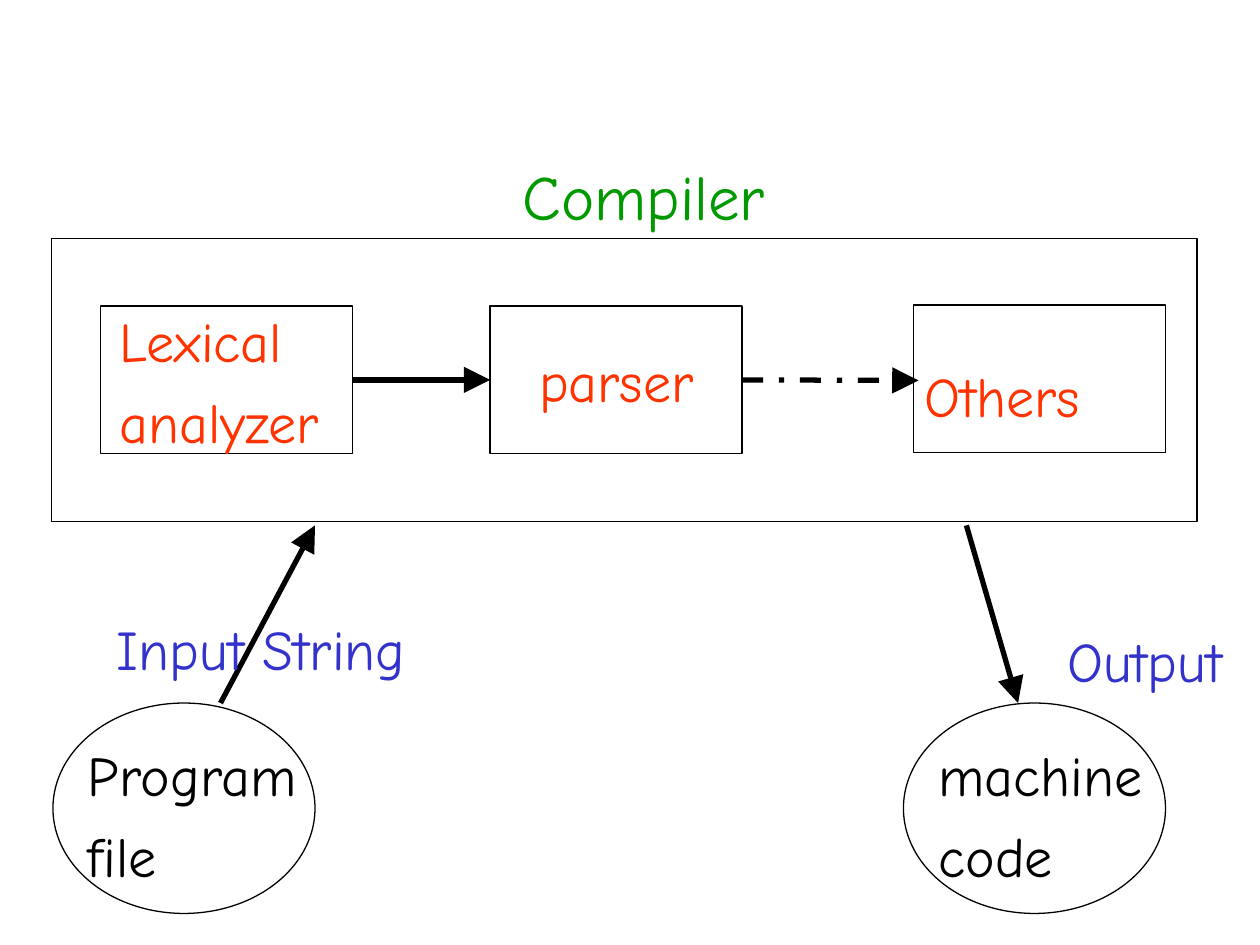
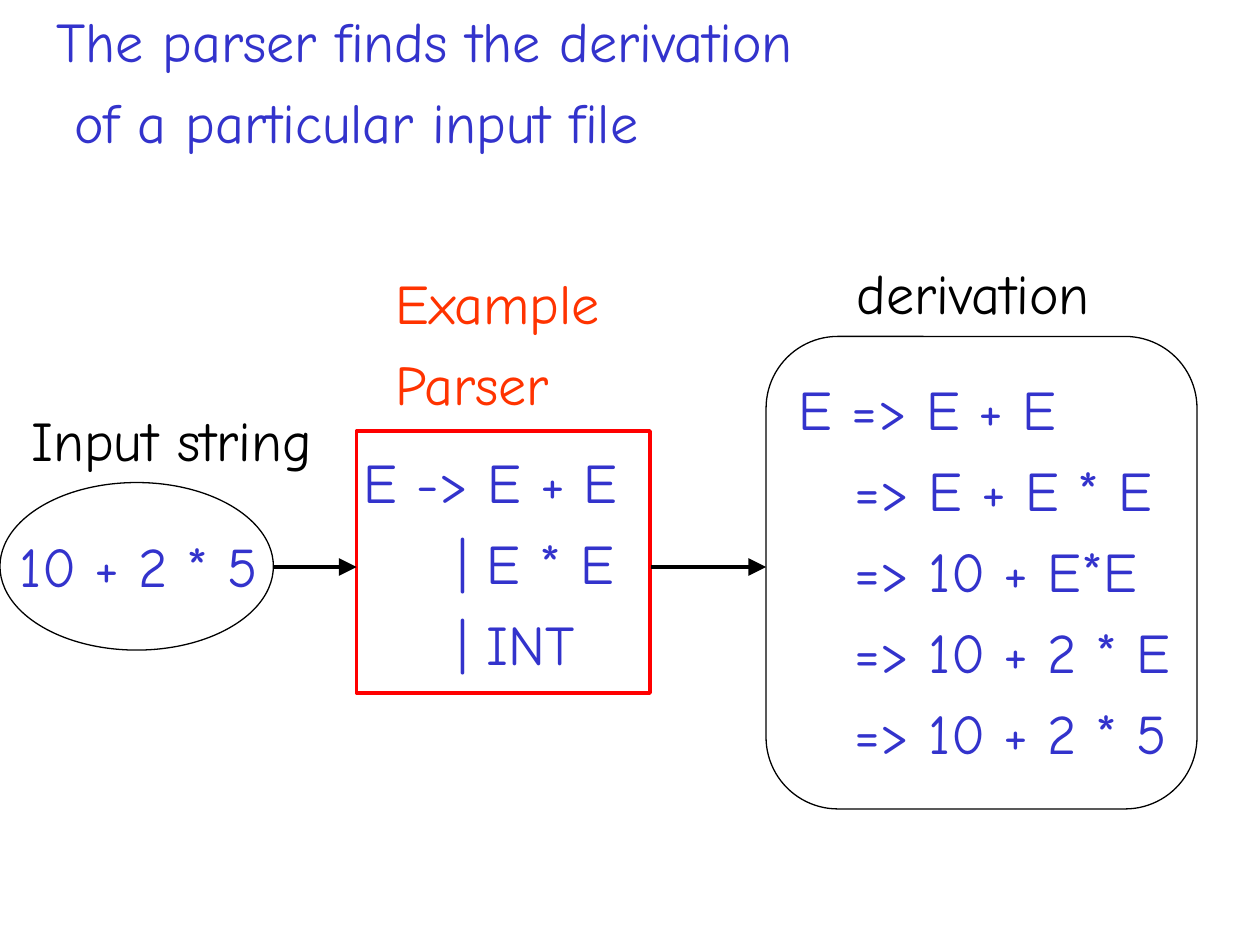
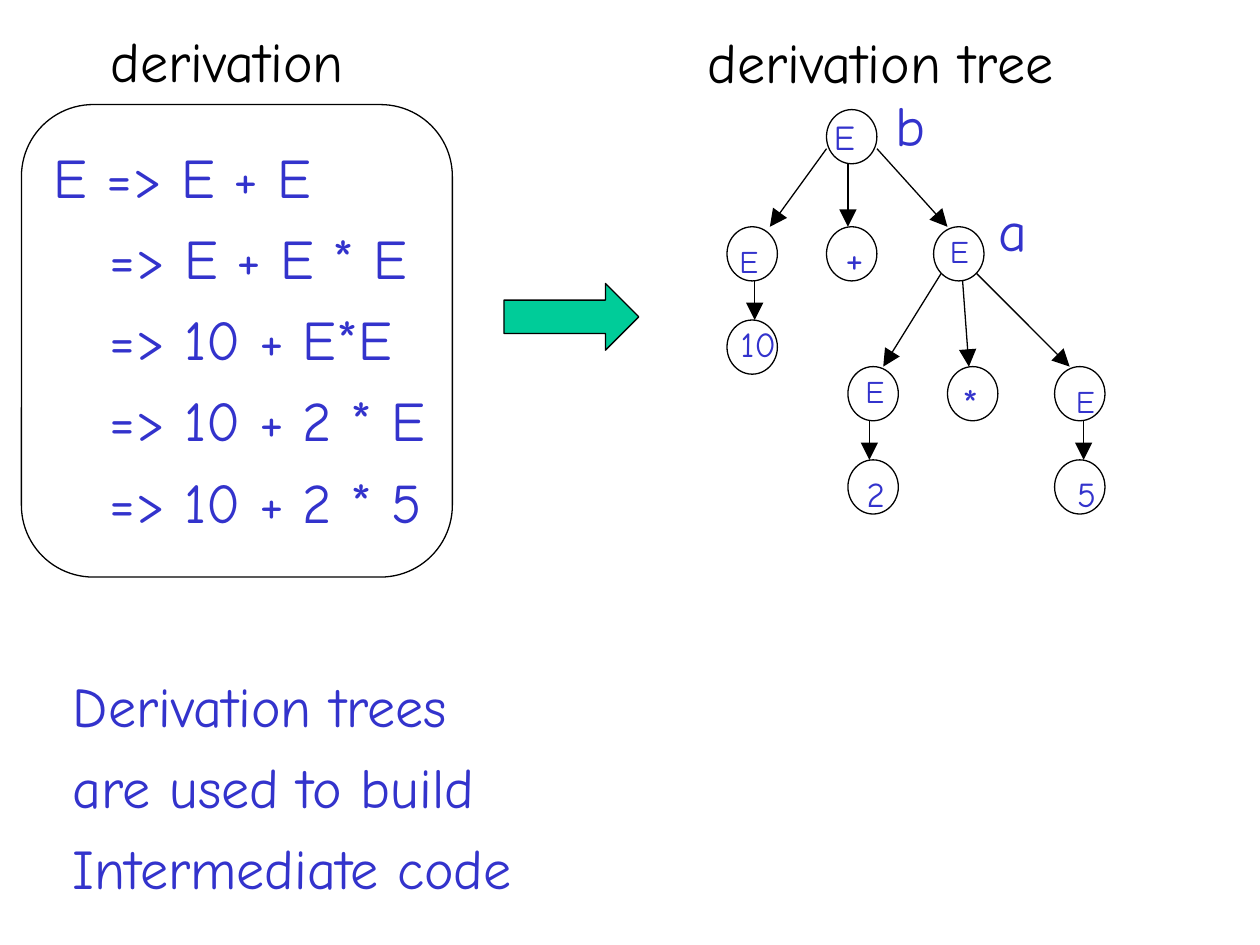
from lxml import etree
from pptx import Presentation
from pptx.dml.color import RGBColor
from pptx.enum.dml import MSO_LINE
from pptx.enum.shapes import MSO_CONNECTOR, MSO_SHAPE
from pptx.enum.text import MSO_AUTO_SIZE, PP_ALIGN
from pptx.oxml.ns import qn
from pptx.util import Inches, Pt

RECT = MSO_SHAPE.RECTANGLE
ROUNDED = MSO_SHAPE.ROUNDED_RECTANGLE
OVAL = MSO_SHAPE.OVAL
RIGHT_ARROW = MSO_SHAPE.RIGHT_ARROW
STRAIGHT = MSO_CONNECTOR.STRAIGHT
DASH_DOT = MSO_LINE.DASH_DOT
FIT_TEXT = MSO_AUTO_SIZE.SHAPE_TO_FIT_TEXT
LEFT = PP_ALIGN.LEFT

BLACK = RGBColor(0x00, 0x00, 0x00)
BLUE = RGBColor(0x33, 0x33, 0xCC)
ORANGE = RGBColor(0xFF, 0x33, 0x00)
GREEN = RGBColor(0x00, 0x99, 0x00)
RED = RGBColor(0xFF, 0x00, 0x00)
TEAL = RGBColor(0x00, 0xCC, 0x99)

FONT = "Comic Neue"
BODY_SIZE = 32
THIN = 0.75
RIGHT_SIDE, LEFT_SIDE = 3, 1
NODE_SIZE = (0.4, 0.43)
STEP_INDENT = 0.44
RULE_INDENT = 0.74
TITLE_INDENT = 0.14

DERIVATION = ["E => E + E", "=> E + E * E", "=> 10 + E*E",
              "=> 10 + 2 * E", "=> 10 + 2 * 5"]


class Deck:
    def __init__(self):
        self.presentation = Presentation()
        self.presentation.slide_width = Inches(10)
        self.presentation.slide_height = Inches(7.5)
        self.slide = None

    def new_slide(self):
        layout = self.presentation.slide_layouts[6]
        self.slide = self.presentation.slides.add_slide(layout)

    def label(self, left, top, width, lines, color=BLUE, size=BODY_SIZE,
              indent=0, wrap=False):
        """Write one paragraph a line; indent applies after the first line."""
        spacing = size / 4
        height = (len(lines) * (size * 1.2 + spacing) - spacing) / 72 + 0.1
        box = self.slide.shapes.add_textbox(
            Inches(left), Inches(top), Inches(width), Inches(height))
        frame = box.text_frame
        frame.word_wrap = wrap
        frame.auto_size = FIT_TEXT
        for number, line in enumerate(lines):
            paragraph = frame.add_paragraph() if number else frame.paragraphs[0]
            paragraph.alignment = LEFT
            if number:
                paragraph.space_before = Pt(spacing)
                if indent:
                    properties = paragraph._p.get_or_add_pPr()
                    properties.set("marL", str(Inches(indent)))
                    properties.set("indent", "0")
            run = paragraph.add_run()
            run.text = line
            run.font.name = FONT
            run.font.size = Pt(size)
            run.font.color.rgb = color

    def outline(self, kind, left, top, width, height, color=BLACK,
                weight=THIN, fill=None):
        shape = self.slide.shapes.add_shape(
            kind, Inches(left), Inches(top), Inches(width), Inches(height))
        shape.shadow.inherit = False
        if fill is None:
            shape.fill.background()
        else:
            shape.fill.solid()
            shape.fill.fore_color.rgb = fill
        shape.line.color.rgb = color
        shape.line.width = Pt(weight)
        return shape

    def arrow(self, start, end, weight=THIN, dash=None, source=None, target=None):
        """Draw an arrow, joined to the facing sides of source and target."""
        connector = self.slide.shapes.add_connector(
            STRAIGHT, *(Inches(length) for length in (*start, *end)))
        if source is not None:
            connector.begin_connect(source, RIGHT_SIDE)
        if target is not None:
            connector.end_connect(target, LEFT_SIDE)
        connector.line.color.rgb = BLACK
        connector.line.width = Pt(weight)
        if dash is not None:
            connector.line.dash_style = dash
        etree.SubElement(connector.line._get_or_add_ln(), qn("a:tailEnd"),
                         type="triangle", w="lg", len="lg")
        etree.SubElement(connector._element.spPr, qn("a:effectLst"))

    def derivation(self, left, top, heading_left):
        """Draw the headed, rounded panel of derivation steps."""
        self.label(left + 0.16, top + 0.25, 3.15, DERIVATION, indent=STEP_INDENT)
        self.label(heading_left, top - 0.67, 2.06, ["derivation"], BLACK)
        self.outline(ROUNDED, left, top, 3.42, 3.75)

    def tree_node(self, left, top, symbol, size, symbol_left, symbol_top, width):
        self.outline(OVAL, left, top, *NODE_SIZE)
        self.label(symbol_left, symbol_top, width, [symbol], size=size)


def compiler_slide(deck):
    deck.new_slide()
    deck.outline(RECT, 0.41, 1.89, 9.09, 2.25)
    deck.label(4.05, 1.2, 2.12, ["Compiler"], GREEN, 36)
    lexer, parser, _ = [deck.outline(RECT, left, top, 2, 1.17)
                        for left, top in ((0.8, 2.43), (3.89, 2.43), (7.25, 2.42))]
    deck.label(0.85, 2.38, 1.79, ["Lexical", "analyzer"], ORANGE)
    deck.label(4.18, 2.7, 1.46, ["parser"], ORANGE)
    deck.label(7.24, 2.82, 1.47, ["Others"], ORANGE)
    deck.arrow((2.8, 3.01), (3.89, 3.01), 3, source=lexer, target=parser)
    deck.arrow((5.89, 3), (7.29, 3.02), 3, DASH_DOT, source=parser)

    for left in (0.42, 7.17):
        deck.outline(OVAL, left, 5.58, 2.08, 1.67)
    deck.arrow((1.75, 5.58), (2.5, 4.17), 3)
    deck.arrow((7.67, 4.17), (8.08, 5.58), 3)
    deck.label(0.6, 5.83, 1.87, ["Program", "file"], BLACK)
    deck.label(7.35, 5.83, 1.82, ["machine", "code"], BLACK)
    deck.label(0.83, 4.83, 2.49, ["Input String"])
    deck.label(8.37, 4.92, 1.45, ["Output"])


def parser_slide(deck):
    deck.new_slide()
    deck.label(0.35, 0, 6.06, ["The parser finds the derivation",
                               "of a particular input file"], indent=TITLE_INDENT)
    deck.label(0.15, 3.17, 2.43, ["Input string"], BLACK)
    deck.outline(OVAL, 0, 3.83, 2.17, 1.33)
    deck.label(0.06, 4.17, 2.09, ["10 + 2 * 5"])
    deck.label(3.04, 2.08, 1.98, ["Example", "Parser"], ORANGE)
    deck.outline(RECT, 2.83, 3.42, 2.33, 2.08, RED, 2)
    deck.label(2.79, 3.5, 2.36, ["E -> E + E", "| E * E", "| INT"],
               indent=RULE_INDENT)
    deck.derivation(6.08, 2.67, 6.7)
    for start, end in ((2.17, 2.83), (5.17, 6.08)):
        deck.arrow((start, 4.5), (end, 4.5), 2)


def tree_slide(deck):
    deck.new_slide()
    deck.derivation(0.17, 0.83, 0.78)
    deck.outline(RIGHT_ARROW, 4, 2.25, 1.07, 0.53, fill=TEAL)
    deck.label(5.52, 0.17, 2.96, ["derivation tree"], BLACK)

    nodes = [
        (6.56, 0.87, "E", 20, 6.52, 0.87, 0.37),
        (5.77, 1.8, "E", 18, 5.77, 1.87, 0.35),
        (6.56, 1.8, "+", 24, 6.61, 1.79, 0.35),
        (7.41, 1.8, "E", 18, 7.44, 1.79, 0.35),
        (5.77, 2.54, "10", 20, 5.78, 2.51, 0.48),
        (6.73, 2.91, "E", 18, 6.77, 2.9, 0.35),
        (7.52, 2.91, "*", 24, 7.54, 2.95, 0.33),
        (8.37, 2.91, "E", 18, 8.44, 2.98, 0.35),
        (6.73, 3.65, "2", 20, 6.78, 3.7, 0.34),
        (8.37, 3.65, "5", 20, 8.45, 3.7, 0.35),
    ]
    for node in nodes:
        deck.tree_node(*node)

    branches = [
        ((6.56, 1.18), (6.11, 1.8)),
        ((6.73, 1.3), (6.73, 1.8)),
        ((6.96, 1.18), (7.52, 1.8)),
        ((5.99, 2.23), (5.99, 2.54)),
        ((7.47, 2.17), (7.01, 2.91)),
        ((7.64, 2.23), (7.69, 2.91)),
        ((7.75, 2.17), (8.49, 2.91)),
        ((6.9, 3.34), (6.9, 3.65)),
        ((8.6, 3.34), (8.6, 3.65)),
    ]
    for parent, child in branches:
        deck.arrow(parent, child)

    deck.label(7.01, 0.67, 0.44, ["b"])
    deck.label(7.83, 1.5, 0.43, ["a"])
    deck.label(0.48, 5.28, 8.32, ["Derivation trees", "are used to build",
                                  "Intermediate code"], wrap=True)


def main():
    deck = Deck()
    compiler_slide(deck)
    parser_slide(deck)
    tree_slide(deck)
    deck.presentation.save("out.pptx")


if __name__ == "__main__":
    main()
